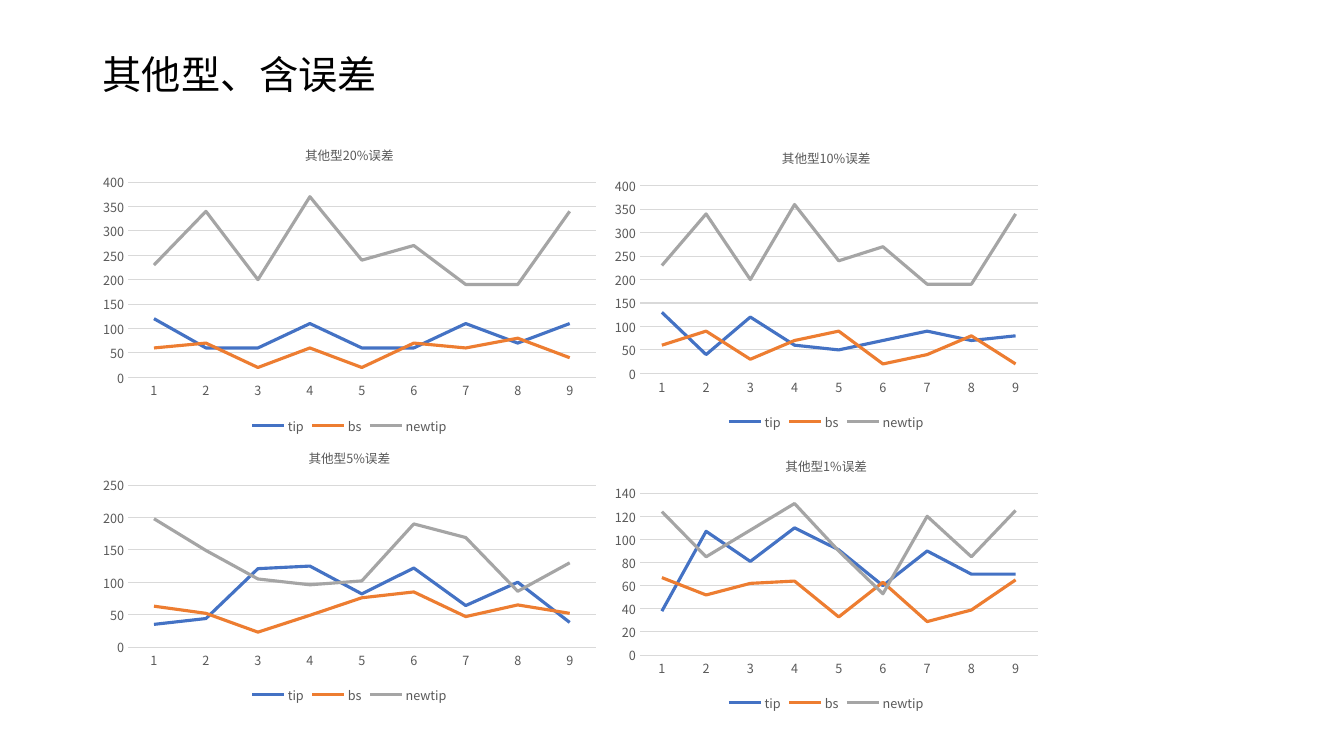
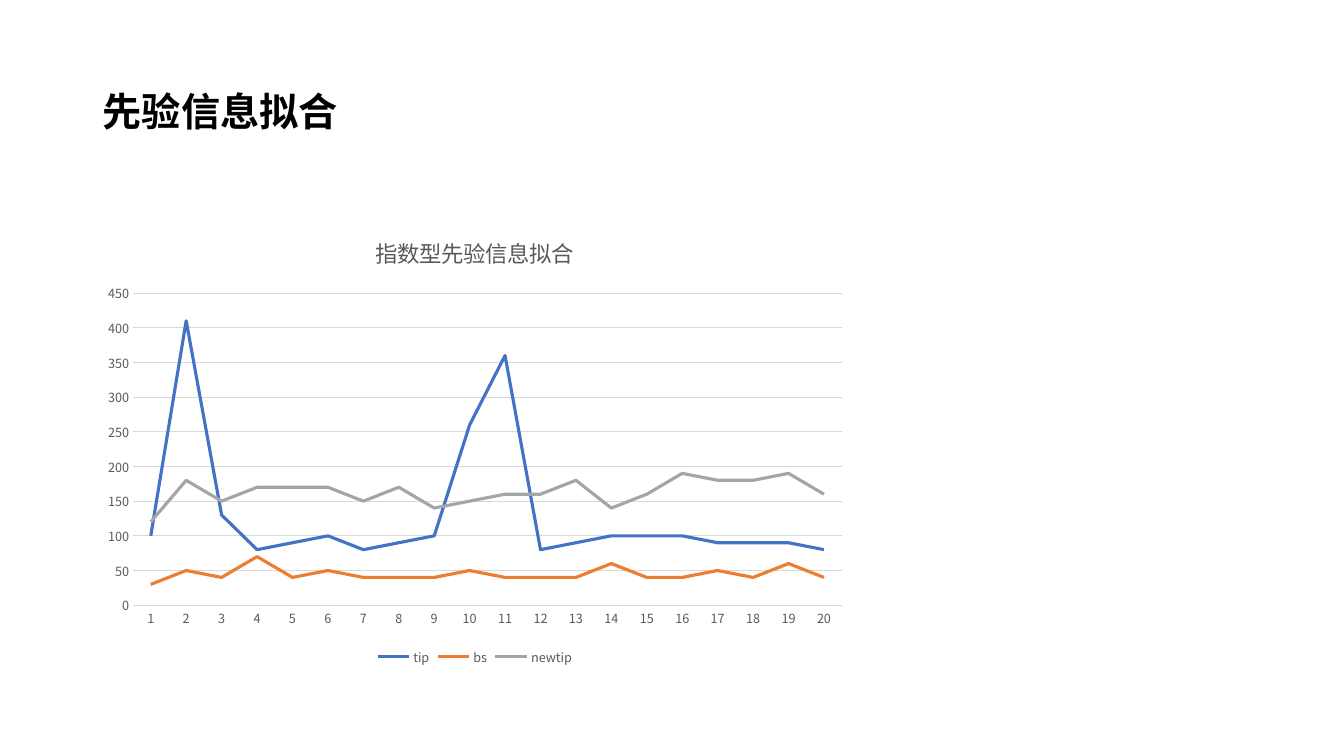
from dataclasses import dataclass

from lxml import etree
from pptx import Presentation
from pptx.chart.data import CategoryChartData
from pptx.dml.color import RGBColor
from pptx.enum import chart as chart_enum, text as text_enum
from pptx.oxml.ns import qn
from pptx.util import Inches, Pt


@dataclass(frozen=True)
class Theme:
    font: str = "Noto Sans CJK SC"
    title_color: str = "000000"
    label_color: str = "595959"
    grid_color: str = "D9D9D9"
    series_colors: tuple = ("4472C4", "ED7D31", "A5A5A5")
    title_size: float = 28
    label_size: float = 9
    grid_width: float = 0.75
    series_width: float = 2.25


THEME = Theme()
SERIES_NAMES = ("tip", "bs", "newtip")

# Chart title, position and size, axis maximum and step, values per series
ERROR_CHARTS = [
    ("其他型20%误差", (0.92, 1.29, 5.09, 3.06), (400, 50), (
        (120, 60, 60, 110, 60, 60, 110, 70, 110),
        (60, 70, 20, 60, 20, 70, 60, 80, 40),
        (230, 340, 200, 370, 240, 270, 190, 190, 340))),
    ("其他型10%误差", (6.01, 1.33, 4.37, 2.98), (400, 50), (
        (130, 40, 120, 60, 50, 70, 90, 70, 80),
        (60, 90, 30, 70, 90, 20, 40, 80, 20),
        (230, 340, 200, 360, 240, 270, 190, 190, 340))),
    ("其他型5%误差", (0.92, 4.31, 5.09, 2.71), (250, 50), (
        (35, 44, 121, 125, 82, 122, 64, 100, 38),
        (63, 52, 23, 49, 76, 85, 47, 65, 52),
        (198, 149, 105, 96, 102, 190, 169, 86, 130))),
    ("其他型1%误差", (6.01, 4.39, 4.37, 2.71), (140, 20), (
        (38, 107, 81, 110, 91, 60, 90, 70, 70),
        (67, 52, 62, 64, 33, 63, 29, 39, 65),
        (124, 85, 108, 131, 90, 53, 120, 85, 125))),
]
PRIOR_CHART = ("指数型先验信息拟合", (0.92, 2.14, 7.58, 4.5), (450, 50), (
    (100, 410, 130, 80, 90, 100, 80, 90, 100, 260,
     360, 80, 90, 100, 100, 100, 90, 90, 90, 80),
    (30, 50, 40, 70, 40, 50, 40, 40, 40, 50,
     40, 40, 40, 60, 40, 40, 50, 40, 60, 40),
    (120, 180, 150, 170, 170, 170, 150, 170, 140, 150,
     160, 160, 180, 140, 160, 190, 180, 180, 190, 160)))


def set_attributes(target, values):
    for name, value in values.items():
        setattr(target, name, value)


def format_font(font, size, color, bold=False):
    set_attributes(font, {"name": THEME.font, "size": Pt(size), "bold": bold})
    font.color.rgb = RGBColor.from_string(color)


def format_line(line, color, width):
    line.color.rgb = RGBColor.from_string(color)
    line.width = Pt(width)


def add_east_asian_fonts(element):
    """Use each Latin typeface for Chinese characters as well."""
    for latin in list(element.iter(qn("a:latin"))):
        east_asian = etree.Element(qn("a:ea"), typeface=latin.get("typeface"))
        latin.addnext(east_asian)


def add_title_slide(presentation, title, bold=False, bottom_inset=0.05):
    slide = presentation.slides.add_slide(presentation.slide_layouts[5])
    shape = slide.shapes.title
    set_attributes(shape, {
        "left": Inches(0.92), "top": Inches(0.4),
        "width": Inches(11.5), "height": Inches(1.45)})
    frame = shape.text_frame
    set_attributes(frame, {
        "text": title, "word_wrap": True,
        "auto_size": text_enum.MSO_AUTO_SIZE.NONE,
        "vertical_anchor": text_enum.MSO_ANCHOR.MIDDLE,
        "margin_bottom": Inches(bottom_inset)})
    paragraph = frame.paragraphs[0]
    set_attributes(paragraph, {
        "alignment": text_enum.PP_ALIGN.LEFT, "line_spacing": 0.9})
    format_font(paragraph.runs[0].font, THEME.title_size, THEME.title_color, bold)
    add_east_asian_fonts(shape.element)
    return slide


def format_axes(chart, maximum, step):
    for axis in (chart.category_axis, chart.value_axis):
        set_attributes(axis, {
            "major_tick_mark": chart_enum.XL_TICK_MARK.NONE,
            "minor_tick_mark": chart_enum.XL_TICK_MARK.NONE})
        format_font(axis.tick_labels.font, THEME.label_size, THEME.label_color)
    format_line(chart.category_axis.format.line, THEME.grid_color, THEME.grid_width)
    value_axis = chart.value_axis
    set_attributes(value_axis, {
        "minimum_scale": 0, "maximum_scale": maximum, "major_unit": step,
        "has_major_gridlines": True})
    value_axis.format.line.fill.background()
    format_line(value_axis.major_gridlines.format.line,
                THEME.grid_color, THEME.grid_width)


def add_line_chart(slide, title, box, scale, values, title_size=THEME.label_size):
    data = CategoryChartData()
    data.categories = [str(number + 1) for number in range(len(values[0]))]
    for name, series_values in zip(SERIES_NAMES, values):
        data.add_series(name, series_values)
    chart = slide.shapes.add_chart(
        chart_enum.XL_CHART_TYPE.LINE, *map(Inches, box), data).chart
    format_font(chart.font, 10, THEME.title_color)

    chart.has_title = True
    chart.chart_title.include_in_layout = False
    title_frame = chart.chart_title.text_frame
    title_frame.text = title
    format_font(title_frame.paragraphs[0].runs[0].font, title_size, THEME.label_color)

    chart.has_legend = True
    set_attributes(chart.legend, {
        "position": chart_enum.XL_LEGEND_POSITION.BOTTOM,
        "include_in_layout": False})
    format_font(chart.legend.font, THEME.label_size, THEME.label_color)

    format_axes(chart, *scale)
    plot = chart.plots[0]
    plot.vary_by_categories = False
    for series, color in zip(plot.series, THEME.series_colors):
        series.smooth = False
        format_line(series.format.line, color, THEME.series_width)
    add_east_asian_fonts(chart.element)


def main():
    presentation = Presentation()
    set_attributes(presentation, {
        "slide_width": Inches(13.33), "slide_height": Inches(7.5)})

    slide = add_title_slide(presentation, "其他型、含误差", bottom_inset=0.78)
    for chart in ERROR_CHARTS:
        add_line_chart(slide, *chart)

    slide = add_title_slide(presentation, "先验信息拟合", bold=True)
    add_line_chart(slide, *PRIOR_CHART, title_size=16)

    presentation.save("out.pptx")


if __name__ == "__main__":
    main()
